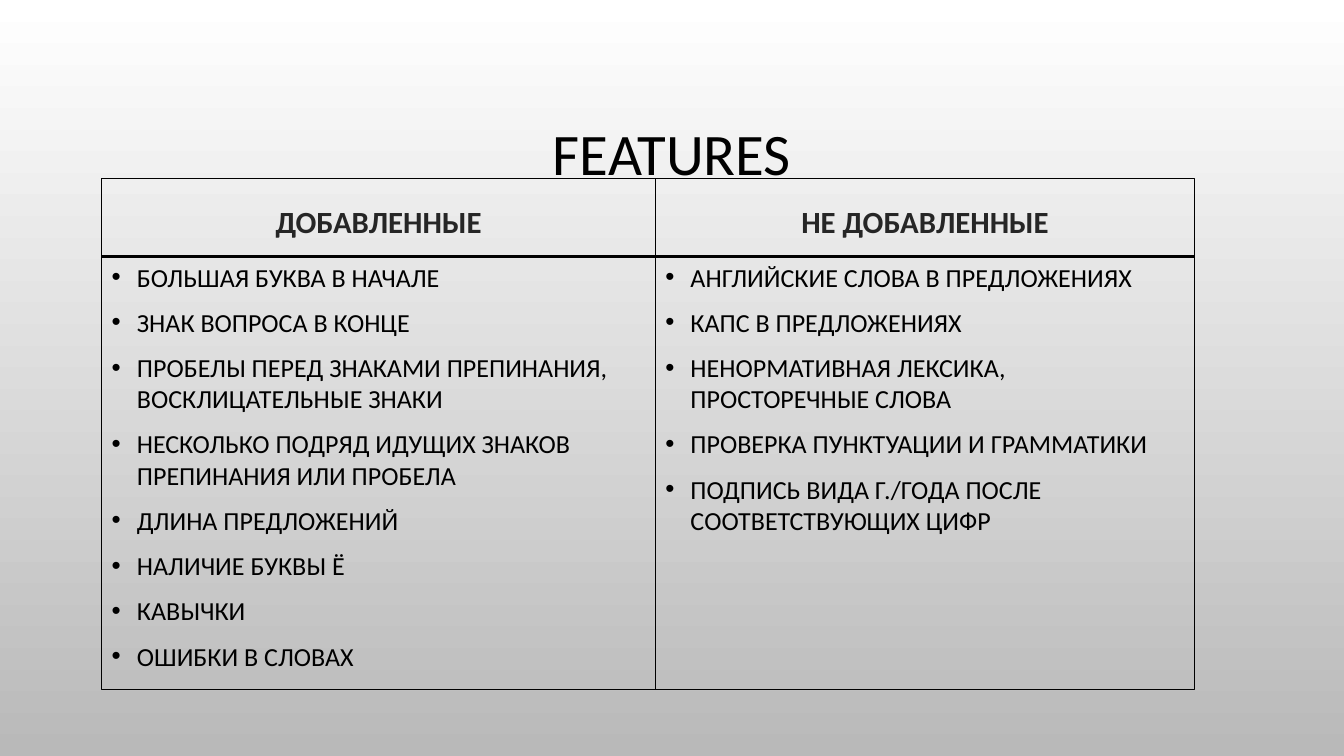
"""Build the slide that lists added and not added features."""
import pptx
import pptx.util
import pptx.dml.color
import pptx.enum.shapes
import pptx.enum.text
import lxml.etree

Inches, Pt = pptx.util.Inches, pptx.util.Pt
ALIGN = pptx.enum.text.PP_ALIGN
ANCHOR = pptx.enum.text.MSO_ANCHOR

TITLE = "FEATURES"
LISTS = {
    "ДОБАВЛЕННЫЕ": [
        "БОЛЬШАЯ БУКВА В НАЧАЛЕ",
        "ЗНАК ВОПРОСА В КОНЦЕ",
        "ПРОБЕЛЫ ПЕРЕД ЗНАКАМИ ПРЕПИНАНИЯ, ВОСКЛИЦАТЕЛЬНЫЕ ЗНАКИ",
        "НЕСКОЛЬКО ПОДРЯД ИДУЩИХ ЗНАКОВ ПРЕПИНАНИЯ ИЛИ ПРОБЕЛА",
        "ДЛИНА ПРЕДЛОЖЕНИЙ",
        "НАЛИЧИЕ БУКВЫ Ё",
        "КАВЫЧКИ",
        "ОШИБКИ В СЛОВАХ",
    ],
    "НЕ ДОБАВЛЕННЫЕ": [
        "АНГЛИЙСКИЕ СЛОВА В ПРЕДЛОЖЕНИЯХ",
        "КАПС В ПРЕДЛОЖЕНИЯХ",
        "НЕНОРМАТИВНАЯ ЛЕКСИКА, ПРОСТОРЕЧНЫЕ СЛОВА",
        "ПРОВЕРКА ПУНКТУАЦИИ И ГРАММАТИКИ",
        "ПОДПИСЬ ВИДА Г./ГОДА ПОСЛЕ СООТВЕТСТВУЮЩИХ ЦИФР",
    ],
}
COLORS = {"text": "000000", "head": "262626", "top": "FFFFFF", "base": "B9B9B9"}
LEFT, TOP, SPLIT = 1.01, 1.77, 2.54
WIDTHS = (5.49, 5.35)
HEAD_H, LIST_H = 0.78, 4.3

TITLE_FONT = {"name": "Calibri", "size": Pt(42), "bold": False}
HEAD_FONT = {"name": "Calibri", "size": Pt(22), "bold": True}
ITEM_FONT = {"name": "Calibri", "size": Pt(18.6), "bold": False}
TITLE_PARA = {"alignment": ALIGN.CENTER, "line_spacing": 0.9}
HEAD_PARA = {"alignment": ALIGN.CENTER, "line_spacing": 1.2, "space_before": Pt(10)}
ITEM_PARA = {"alignment": ALIGN.LEFT, "line_spacing": 1.0, "space_before": Pt(10)}


def tint(key):
    """Return a named colour."""
    return pptx.dml.color.RGBColor.from_string(COLORS[key])


def apply(item, values):
    """Set each attribute in values."""
    for name, value in values.items():
        setattr(item, name, value)


def write(frame, lines, font, para, color, anchor):
    """Fill a text frame with formatted lines."""
    apply(frame, {"word_wrap": True, "vertical_anchor": anchor,
                  "auto_size": pptx.enum.text.MSO_AUTO_SIZE.NONE})
    frame.text = "\n".join(lines)
    for part in frame.paragraphs:
        apply(part, para)
        run = part.runs[0]
        apply(run.font, font)
        run.font.color.rgb = tint(color)


def bullet(part):
    """Give a paragraph a hanging bullet."""
    props = part._p.get_or_add_pPr()
    props.set("marL", str(Inches(0.25)))
    props.set("indent", str(-Inches(0.25)))
    space = "{http://schemas.openxmlformats.org/drawingml/2006/main}"
    paint = lxml.etree.SubElement(props, space + "buClr")
    lxml.etree.SubElement(paint, space + "srgbClr", val=COLORS["text"])
    lxml.etree.SubElement(props, space + "buFont", typeface="Arial")
    lxml.etree.SubElement(props, space + "buChar", char="•")


def box(slide, *place):
    """Add an outlined box and return its text frame."""
    shape = slide.shapes.add_shape(
        pptx.enum.shapes.MSO_SHAPE.RECTANGLE, *map(Inches, place))
    shape.shadow.inherit = False
    shape.fill.background()
    shape.line.color.rgb = tint("text")
    shape.line.width = Pt(0.75)
    return shape.text_frame


def main():
    """Draw and save the slide."""
    deck = pptx.Presentation()
    apply(deck, {"slide_width": Inches(13.33), "slide_height": Inches(7.5)})
    slide = deck.slides.add_slide(deck.slide_layouts[5])

    fill = slide.background.fill
    fill.gradient()
    fill.gradient_angle = 270
    for stop, key, spot in zip(fill.gradient_stops, ("top", "base"), (0, 1)):
        stop.color.rgb = tint(key)
        stop.position = spot

    title = slide.shapes.title
    apply(title, {"left": Inches(1), "top": Inches(0.68),
                  "width": Inches(11.33), "height": Inches(1.75)})
    write(title.text_frame, [TITLE], TITLE_FONT, TITLE_PARA, "text", ANCHOR.MIDDLE)

    left = LEFT
    for (head, items), width in zip(LISTS.items(), WIDTHS):
        frame = box(slide, left, TOP, width, HEAD_H)
        write(frame, [head], HEAD_FONT, HEAD_PARA, "head", ANCHOR.MIDDLE)
        frame = box(slide, left, SPLIT, width, LIST_H)
        write(frame, items, ITEM_FONT, ITEM_PARA, "text", ANCHOR.TOP)
        for part in frame.paragraphs:
            bullet(part)
        left += width

    deck.save("out.pptx")


if __name__ == "__main__":
    main()
